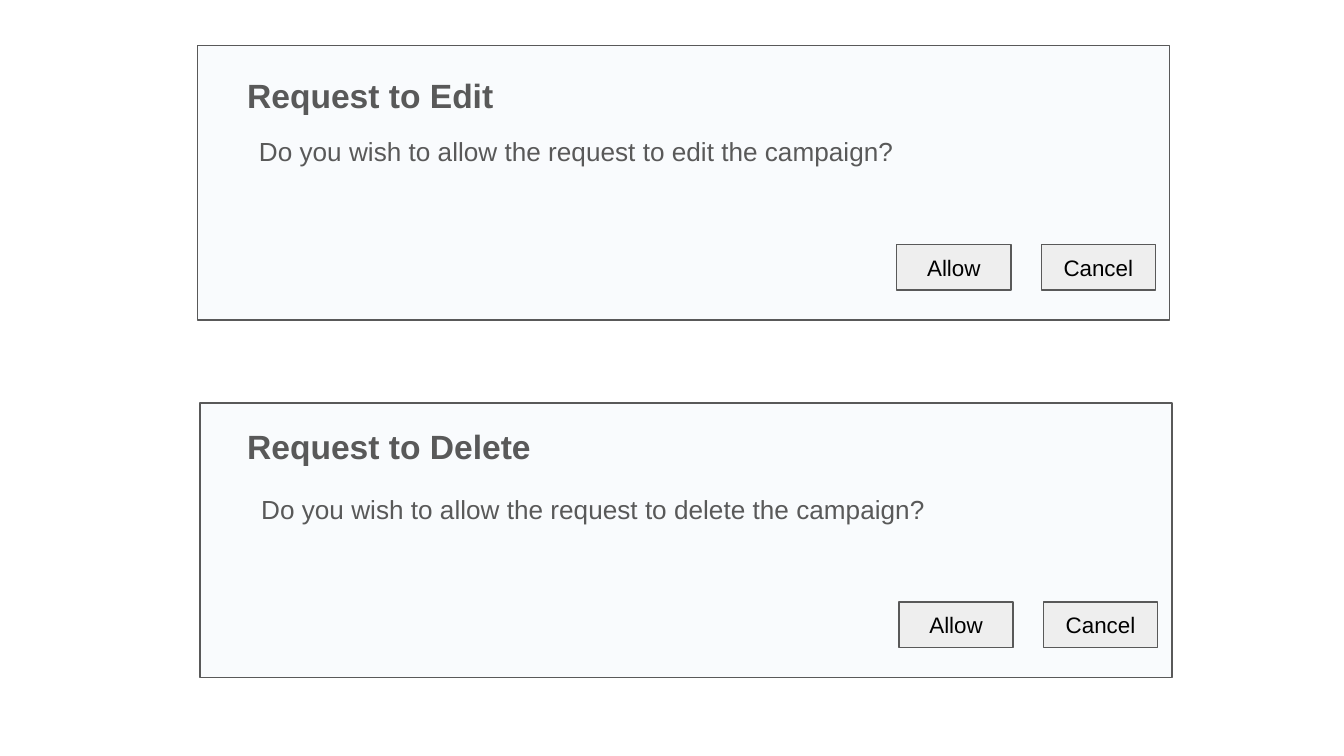
from pptx import Presentation
from pptx.dml.color import RGBColor
from pptx.enum.shapes import MSO_SHAPE
from pptx.enum.text import MSO_ANCHOR, PP_ALIGN
from pptx.util import Pt

GREY = "595959"


def add_panel(left, top, width, height, fill):
    panel = slide.shapes.add_shape(
        MSO_SHAPE.RECTANGLE, Pt(left), Pt(top), Pt(width), Pt(height))
    panel.shadow.inherit = False
    panel.fill.solid()
    panel.fill.fore_color.rgb = RGBColor.from_string(fill)
    panel.line.color.rgb = RGBColor.from_string(GREY)
    panel.line.width = Pt(0.75)
    return panel


def write(shape, text, size, color=GREY, bold=False,
          align=PP_ALIGN.LEFT, anchor=MSO_ANCHOR.TOP):
    frame = shape.text_frame
    frame.word_wrap = True
    frame.vertical_anchor = anchor
    frame.margin_left = frame.margin_right = Pt(7.2)
    frame.margin_top = frame.margin_bottom = Pt(7.2)
    paragraph = frame.paragraphs[0]
    paragraph.alignment = align
    run = paragraph.add_run()
    run.text = text
    run.font.name = "Arial"
    run.font.size = Pt(size)
    run.font.bold = bold
    run.font.color.rgb = RGBColor.from_string(color)


presentation = Presentation()
presentation.slide_width = Pt(720)
presentation.slide_height = Pt(405)
slide = presentation.slides.add_slide(presentation.slide_layouts[6])

dialogs = [
    ("Edit", 106, 24.5, 33.1),
    ("Delete", 107.2, 216, 221),
]

for action, left, top, heading_top in dialogs:
    add_panel(left, top, 520.6, 147, "F9FBFD")

    question = slide.shapes.add_textbox(
        Pt(left + 25.6), Pt(top + 41), Pt(471.6), Pt(42.5))
    write(question,
          f"Do you wish to allow the request to {action.lower()} the campaign?", 14)

    for column, label in enumerate(["Allow", "Cancel"]):
        button = add_panel(left + 374.4 + 77.4 * column, top + 106.5,
                           61.2, 24.5, "EEEEEE")
        write(button, label, 12, color="000000",
              align=PP_ALIGN.CENTER, anchor=MSO_ANCHOR.MIDDLE)

    heading = slide.shapes.add_textbox(
        Pt(125.3), Pt(heading_top), Pt(190.8), Pt(24.5))
    write(heading, f"Request to {action}", 18, bold=True)

presentation.save("out.pptx")
